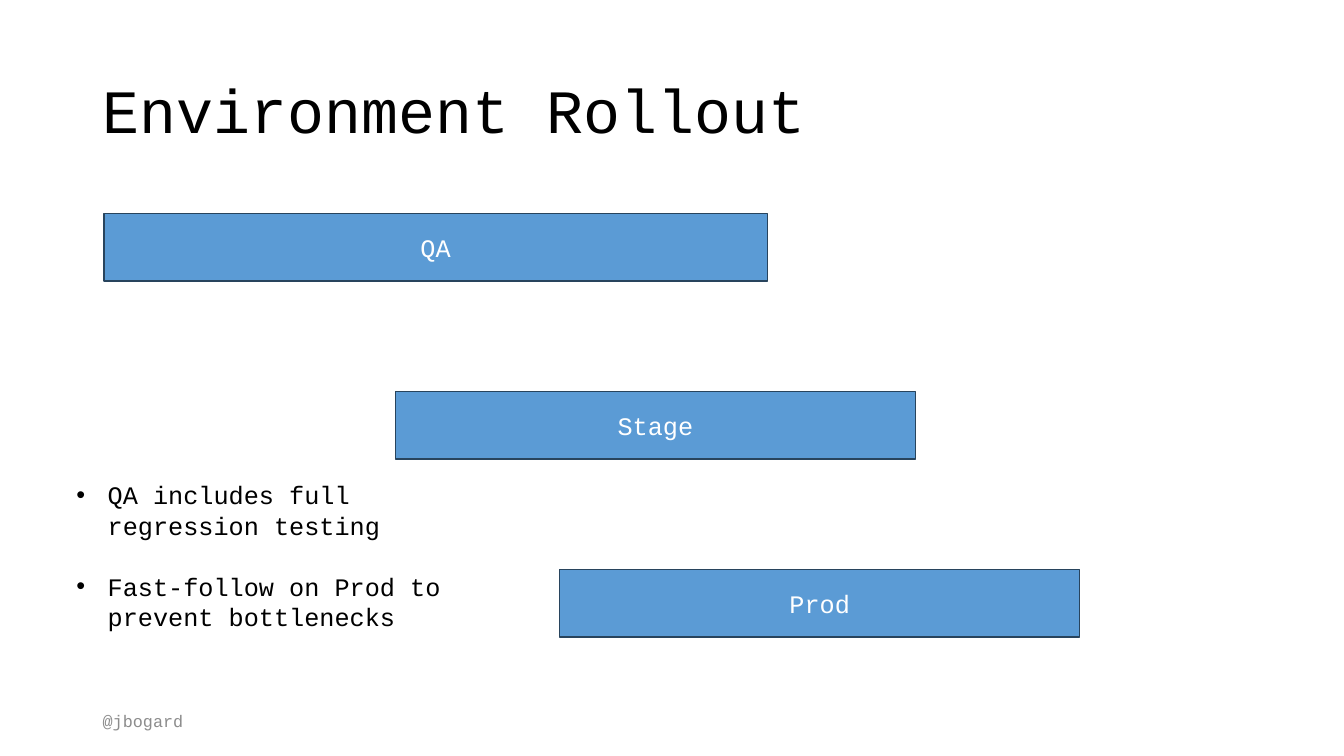
from dataclasses import dataclass

from lxml.etree import SubElement
from pptx import Presentation
from pptx.dml.color import RGBColor
from pptx.enum.shapes import MSO_SHAPE as Shape
from pptx.enum.text import MSO_ANCHOR as Anchor, PP_ALIGN as Align
from pptx.oxml.ns import qn
from pptx.util import Inches, Pt


@dataclass(frozen=True)
class Theme:
    """Colours, font and type sizes of the slide."""
    face: str = "Courier New"
    ink: str = "000000"
    muted: str = "8C8C8C"
    bar: str = "5B9BD5"
    outline: str = "28445D"
    label: str = "FFFFFF"
    title_size: int = 44
    body_size: int = 18
    handle_size: int = 12


THEME = Theme()
BAR_HEIGHT = 0.67
STAGE_STEP = 1.765
STAGES = [("QA", 0, 6.58), ("Stage", 2.89, 5.16), ("Prod", 4.52, 5.16)]
NOTES = ["QA includes full regression testing",
         "Fast-follow on Prod to prevent bottlenecks"]


def apply(target, values):
    """Set each named format value on the target."""
    for name, value in values.items():
        setattr(target, name, value)


def write(paragraph, wording, size, colour):
    """Fill a paragraph with styled text."""
    paragraph.text = wording
    apply(paragraph.font, {"name": THEME.face, "size": Pt(size)})
    paragraph.font.color.rgb = RGBColor.from_string(colour)


def add_frame(slide, box, anchor):
    """Add a wrapping text box and return its frame."""
    frame = slide.shapes.add_textbox(*map(Inches, box)).text_frame
    apply(frame, {"word_wrap": True, "vertical_anchor": anchor})
    return frame


def add_line(slide, box, wording, size, colour):
    """Add one vertically centred line of text."""
    line = add_frame(slide, box, Anchor.MIDDLE).paragraphs[0]
    write(line, wording, size, colour)
    return line


def add_stages(slide, left, top):
    """Step the environment bars down from the given corner."""
    for row, (stage, offset, width) in enumerate(STAGES):
        box = (left + offset, top + row * STAGE_STEP, width, BAR_HEIGHT)
        bar = slide.shapes.add_shape(Shape.RECTANGLE, *map(Inches, box))
        bar.shadow.inherit = False
        bar.fill.solid()
        bar.fill.fore_color.rgb = RGBColor.from_string(THEME.bar)
        bar.line.color.rgb = RGBColor.from_string(THEME.outline)
        bar.line.width = Pt(1)
        bar.text_frame.vertical_anchor = Anchor.MIDDLE
        label = bar.text_frame.paragraphs[0]
        label.alignment = Align.CENTER
        write(label, stage, THEME.body_size, THEME.label)


def add_bullet(paragraph):
    """Give a paragraph a hanging round bullet."""
    props = paragraph._p.get_or_add_pPr()
    indent = Inches(0.31)
    props.set("marL", str(indent))
    props.set("indent", str(-indent))
    SubElement(props, qn("a:buFont"), typeface="Arial")
    SubElement(props, qn("a:buChar"), char="•")


def add_notes(slide, box):
    """List the rollout notes in the box."""
    frame = add_frame(slide, box, Anchor.TOP)
    for index, wording in enumerate(NOTES):
        note = frame.add_paragraph() if index else frame.paragraphs[0]
        add_bullet(note)
        if index:
            note.space_before = Pt(22)
        write(note, wording, THEME.body_size, THEME.ink)


def add_rollout_slide(deck):
    """Build the environment rollout slide."""
    slide = deck.slides.add_slide(deck.slide_layouts[6])
    title = add_line(slide, (0.92, 0.4, 11.5, 1.45), "Environment Rollout",
                     THEME.title_size, THEME.ink)
    title.line_spacing = 0.9
    add_line(slide, (0.92, 6.95, 3, 0.4), "@jbogard",
             THEME.handle_size, THEME.muted)
    add_stages(slide, 1.03, 2.12)
    add_notes(slide, (0.66, 4.71, 4.25, 1.62))


def main():
    """Create and save the deck."""
    deck = Presentation()
    apply(deck, {"slide_width": Inches(13.33), "slide_height": Inches(7.5)})
    add_rollout_slide(deck)
    deck.save("out.pptx")


if __name__ == "__main__":
    main()
